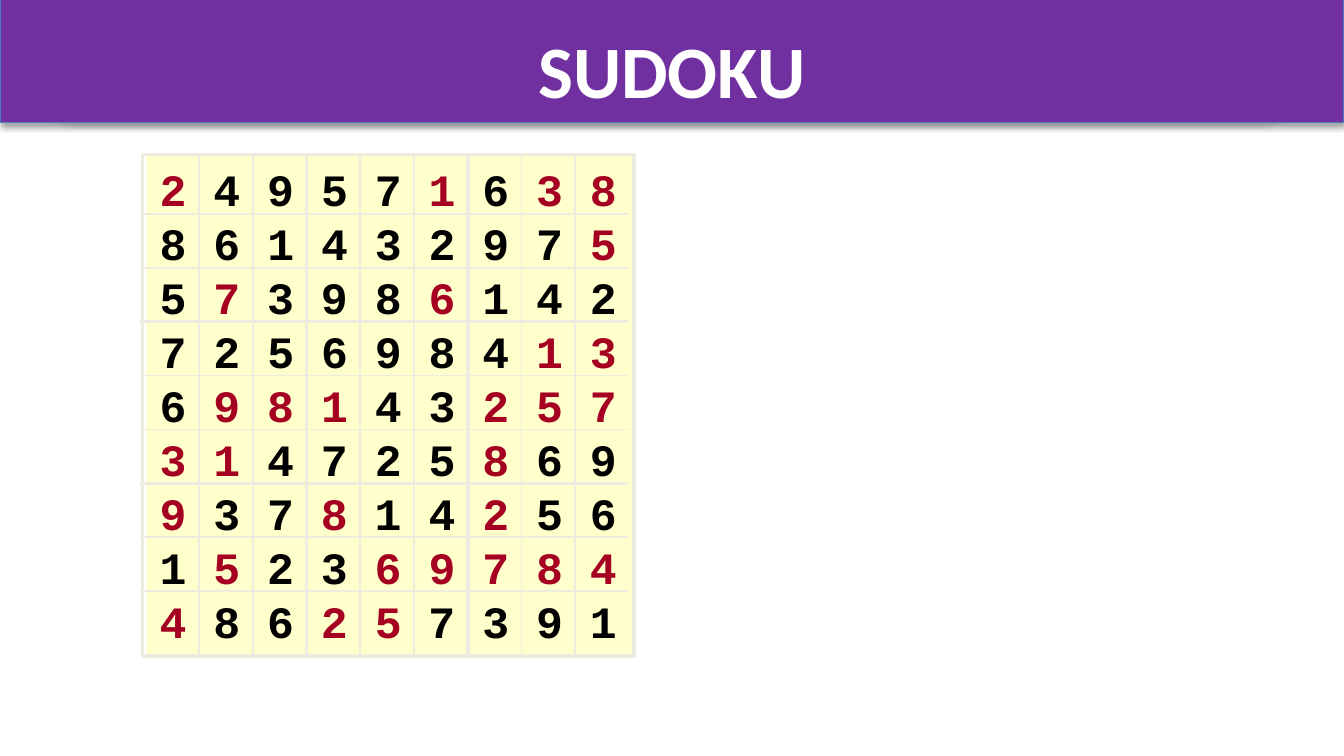
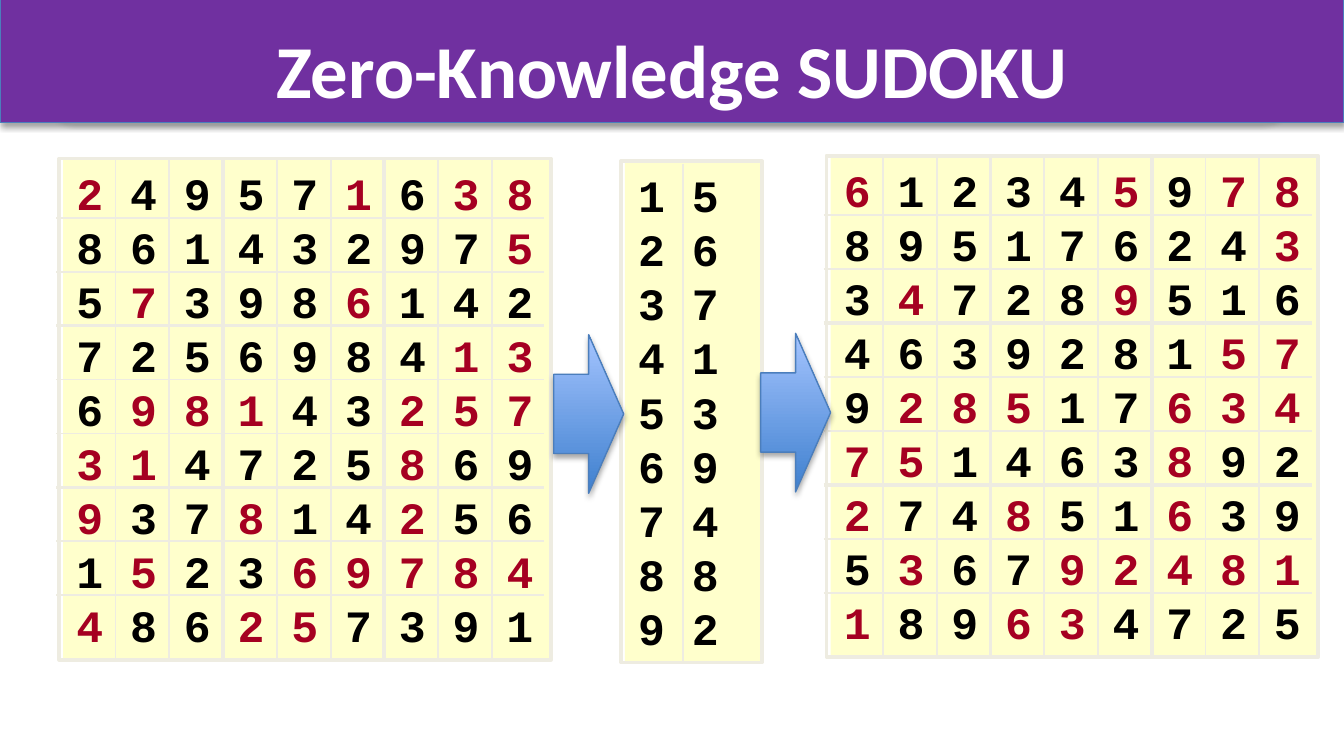
"""Build two Sudoku slides: a solved grid and its zero-knowledge relabelling."""
from dataclasses import dataclass
from itertools import groupby

from lxml.etree import SubElement
from pptx import Presentation
from pptx.dml.color import RGBColor
from pptx.enum.shapes import MSO_CONNECTOR, MSO_SHAPE
from pptx.enum.text import MSO_ANCHOR, MSO_AUTO_SIZE, PP_ALIGN
from pptx.oxml.ns import qn
from pptx.util import Inches, Pt


@dataclass(frozen=True)
class Theme:
    band: RGBColor = RGBColor(0x70, 0x30, 0xA0)
    band_back: RGBColor = RGBColor(0x7D, 0x60, 0xA0)
    outline: RGBColor = RGBColor(0x4B, 0x7E, 0xBC)
    arrow_dark: RGBColor = RGBColor(0x3F, 0x80, 0xCE)
    arrow_light: RGBColor = RGBColor(0xA4, 0xC4, 0xFF)
    paper: RGBColor = RGBColor(0xFF, 0xFF, 0xCC)
    rule: RGBColor = RGBColor(0xEE, 0xEC, 0xE1)
    secret: RGBColor = RGBColor(0, 0, 0)
    given: RGBColor = RGBColor(0xA5, 0x00, 0x21)
    white: RGBColor = RGBColor(0xFF, 0xFF, 0xFF)
    title_font: str = "Calibri"
    digit_font: str = "Courier New"
    title_size: float = 40
    fitted_title_size: float = 39.6
    digit_size: int = 24
    line_spacing: float = 28.95


THEME = Theme()
SOLUTION = ["249571638", "861432975", "573986142", "725698413", "698143257",
            "314725869", "937814256", "152369784", "486257391"]
GIVEN_COLUMNS = [{0, 5, 7, 8}, {8}, {1, 5}, {7, 8}, {1, 2, 3, 6, 7, 8},
                 {0, 1, 6}, {0, 3, 6}, {1, 4, 5, 6, 7, 8}, {0, 3, 4}]
RELABEL = dict(zip("123456789", "567139482"))


def outline_with_shadow(shape, color):
    """Give a shape a thin outline and a soft shadow below it."""
    shape.line.color.rgb = color
    shape.line.width = Pt(0.75)
    shape.shadow.inherit = False
    effects = shape.element.spPr.find(qn("a:effectLst"))
    shadow = SubElement(effects, qn("a:outerShdw"), blurRad=str(Pt(3.1)),
                        dist=str(Pt(1.8)), dir="5400000", rotWithShape="0")
    shade = SubElement(shadow, qn("a:srgbClr"), val="000000")
    SubElement(shade, qn("a:alpha"), val="35000")


def add_panel(slide, left, top, width, rows, givens, rules):
    """Draw a sheet of digits with a frame and rules given as (x1, y1, x2, y2, width)."""
    shapes = slide.shapes.add_group_shape().shapes
    sheet = shapes.add_shape(MSO_SHAPE.RECTANGLE, Inches(left), Inches(top),
                             Inches(width), Inches(3.74))
    sheet.shadow.inherit = False
    sheet.fill.solid()
    sheet.fill.fore_color.rgb = THEME.paper
    sheet.line.fill.background()
    text_frame = sheet.text_frame
    text_frame.word_wrap = False
    text_frame.vertical_anchor = MSO_ANCHOR.TOP
    for index, (digits, given_columns) in enumerate(zip(rows, givens)):
        paragraph = text_frame.add_paragraph() if index else text_frame.paragraphs[0]
        paragraph.alignment = PP_ALIGN.LEFT
        paragraph.line_spacing = Pt(THEME.line_spacing)
        for is_given, columns in groupby(range(len(digits)), lambda c: c in given_columns):
            columns = list(columns)
            text = " ".join(digits[column] for column in columns)
            if is_given and columns[0] > 0:
                text = " " + text
            if is_given and columns[-1] < len(digits) - 1:
                text += " "
            run = paragraph.add_run()
            run.text = text
            run.font.name = THEME.digit_font
            run.font.size = Pt(THEME.digit_size)
            run.font.bold = True
            run.font.color.rgb = THEME.given if is_given else THEME.secret

    frame = shapes.add_shape(MSO_SHAPE.RECTANGLE, Inches(left - 0.03), Inches(top),
                             Inches(width + 0.03), Inches(3.73))
    frame.shadow.inherit = False
    frame.fill.background()
    frame.line.color.rgb = THEME.rule
    frame.line.width = Pt(2)
    for x1, y1, x2, y2, weight in rules:
        rule = shapes.add_connector(MSO_CONNECTOR.STRAIGHT, Inches(left + x1), Inches(top + y1),
                                    Inches(left + x2), Inches(top + y2))
        rule.line.color.rgb = THEME.rule
        rule.line.width = Pt(weight)
        SubElement(rule.element.spPr, qn("a:effectLst"))


presentation = Presentation()
presentation.slide_width = Inches(10)
presentation.slide_height = Inches(10 * 9 / 16)
layout = presentation.slide_layouts[5]
layout_title = layout.placeholders[0]
layout_title.left, layout_title.top = Inches(0.5), Inches(0.14)
layout_title.width, layout_title.height = Inches(9), Inches(0.68)

slides = []
for title, size in [("SUDOKU", THEME.fitted_title_size),
                    ("Zero-Knowledge SUDOKU", THEME.title_size)]:
    slide = presentation.slides.add_slide(layout)
    text_frame = slide.shapes.title.text_frame
    text_frame.word_wrap = False
    text_frame.auto_size = MSO_AUTO_SIZE.NONE
    text_frame.vertical_anchor = MSO_ANCHOR.TOP
    text_frame.margin_top = Inches(0.04)
    paragraph = text_frame.paragraphs[0]
    paragraph.alignment = PP_ALIGN.CENTER
    run = paragraph.add_run()
    run.text = title
    run.font.name = THEME.title_font
    run.font.size = Pt(size)
    run.font.bold = True
    run.font.color.rgb = THEME.white
    slides.append(slide)
sudoku_slide, proof_slide = slides

band_back = sudoku_slide.shapes.add_shape(MSO_SHAPE.ROUNDED_RECTANGLE, Inches(0.4), Inches(0),
                                          Inches(9.13), Inches(0.89))
band_back.fill.background()
outline_with_shadow(band_back, THEME.band_back)
band = sudoku_slide.shapes.add_shape(MSO_SHAPE.RECTANGLE, Inches(0), Inches(-0.01),
                                     Inches(10), Inches(0.92))
band.fill.solid()
band.fill.fore_color.rgb = THEME.band
outline_with_shadow(band, THEME.outline)
for position, shape in enumerate([band_back, band], start=2):
    layout.shapes.element.insert(position, shape.element)

grid_rules = []
for index in range(8):
    weight = 2 if index % 3 == 2 else 1
    x, y = 0.39 + 0.4 * index, 0.44 + 2.81 * index / 7
    grid_rules += [(-0.05, y, 3.58, y, weight), (x, 0.01, x, 3.72, weight)]

relabelled = ["".join(RELABEL[digit] for digit in row) for row in SOLUTION]
key_rows = [before + after for before, after in RELABEL.items()]
add_panel(sudoku_slide, 1.09, 1.15, 3.63, SOLUTION, GIVEN_COLUMNS, grid_rules)
add_panel(proof_slide, 0.47, 1.18, 3.63, SOLUTION, GIVEN_COLUMNS, grid_rules)
add_panel(proof_slide, 4.65, 1.2, 1.02, key_rows, [set()] * 9, [(0.43, 0.02, 0.43, 3.73, 1)])
add_panel(proof_slide, 6.18, 1.16, 3.63, relabelled, GIVEN_COLUMNS, grid_rules)

for left, top in [(4.12, 2.49), (5.66, 2.48)]:
    arrow = proof_slide.shapes.add_shape(MSO_SHAPE.RIGHT_ARROW, Inches(left), Inches(top),
                                         Inches(0.52), Inches(1.18))
    arrow.fill.gradient()
    arrow.fill.gradient_angle = 90
    for stop, color in zip(arrow.fill.gradient_stops, [THEME.arrow_dark, THEME.arrow_light]):
        stop.color.rgb = color
    outline_with_shadow(arrow, THEME.outline)

presentation.save("out.pptx")
